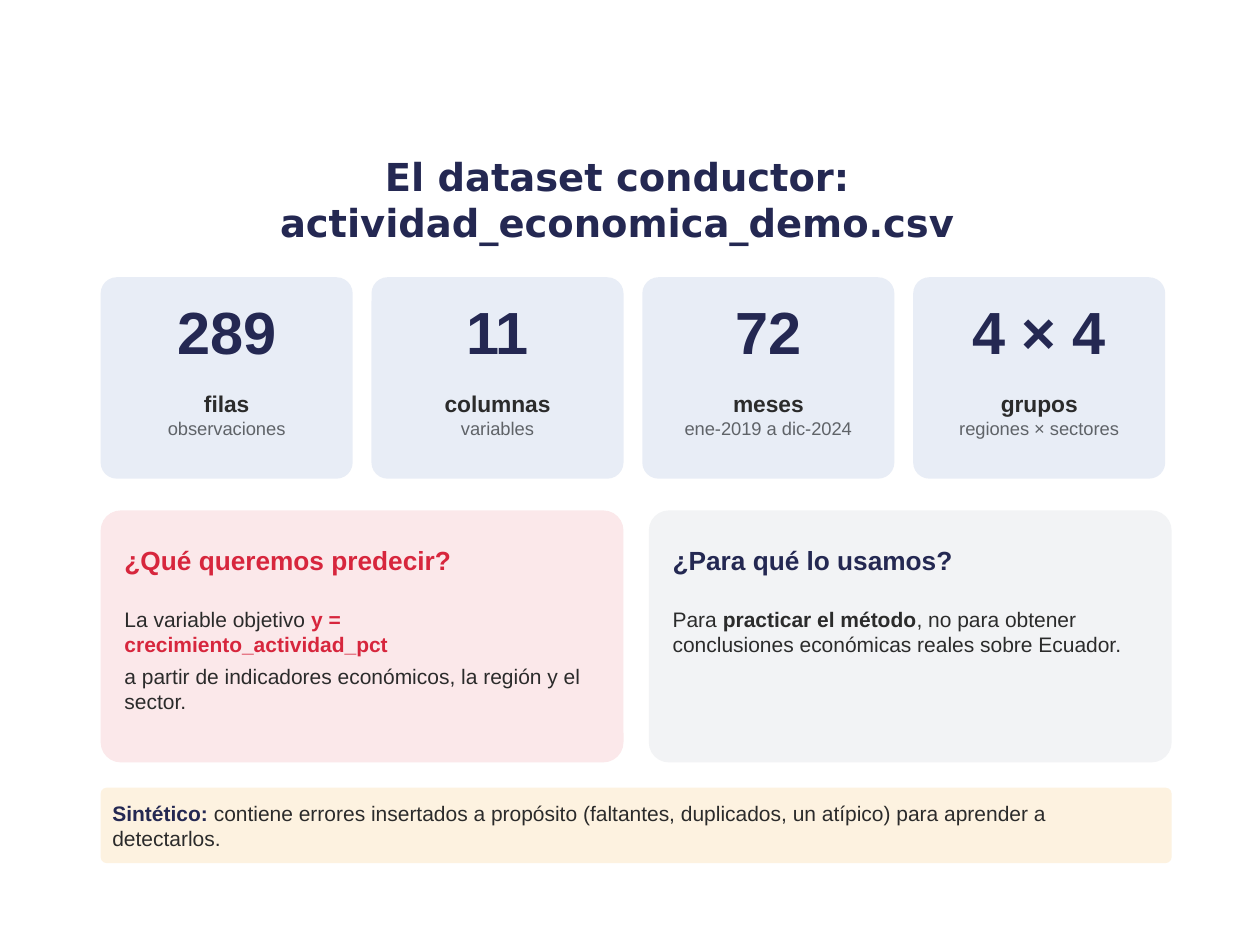
"""Build the slide that presents the demo dataset."""
import pptx
import pptx.dml.color
import pptx.enum.shapes
import pptx.enum.text
import pptx.util

Cm = pptx.util.Cm
Pt = pptx.util.Pt
RGBColor = pptx.dml.color.RGBColor
ALIGN = pptx.enum.text.PP_ALIGN
ANCHOR = pptx.enum.text.MSO_ANCHOR
AUTO_SIZE = pptx.enum.text.MSO_AUTO_SIZE

NAVY = RGBColor(0x24, 0x28, 0x52)
RED = RGBColor(0xD7, 0x26, 0x3D)
INK = RGBColor(0x2B, 0x2B, 0x2B)
GREY = RGBColor(0x5F, 0x63, 0x68)
PALE_BLUE = RGBColor(0xE8, 0xED, 0xF6)
PALE_RED = RGBColor(0xFB, 0xE8, 0xEA)
PALE_GREY = RGBColor(0xF2, 0xF3, 0xF5)
PALE_YELLOW = RGBColor(0xFD, 0xF2, 0xE0)

LEFT = 2.03
STAT_STEP = 5.46
PANEL_STEP = 11.05

STATS = [
    ("289", "filas", "observaciones"),
    ("11", "columnas", "variables"),
    ("72", "meses", "ene-2019 a dic-2024"),
    ("4 × 4", "grupos", "regiones × sectores"),
]
PANELS = [
    ("¿Qué queremos predecir?", RED, PALE_RED, [
        [("La variable objetivo ", INK, False),
         ("y = crecimiento_actividad_pct", RED, True)],
        [("a partir de indicadores económicos, la región y el sector.", INK, False)],
    ]),
    ("¿Para qué lo usamos?", NAVY, PALE_GREY, [
        [("Para ", INK, False), ("practicar el método", INK, True),
         (", no para obtener conclusiones económicas reales sobre Ecuador.", INK, False)],
    ]),
]
NOTE = [
    ("Sintético: ", NAVY, True),
    ("contiene errores insertados a propósito (faltantes, duplicados, un atípico) "
     "para aprender a detectarlos.", INK, False),
]


def set_frame(frame, margin, anchor):
    """Wrap the text frame and set its margins and anchor."""
    frame.word_wrap = True
    frame.vertical_anchor = anchor
    frame.margin_left = frame.margin_right = Cm(margin)
    frame.margin_top = frame.margin_bottom = Cm(margin)


def format_span(span, size, color, bold, font="Arial"):
    """Set the font of one run."""
    span.font.name = font
    span.font.size = Pt(size)
    span.font.bold = bold
    span.font.color.rgb = color


def write_para(para, spans, size, align=ALIGN.LEFT, space_after=0):
    """Fill a paragraph with (text, colour, bold) spans."""
    para.alignment = align
    para.space_after = Pt(space_after)
    for text, color, bold in spans:
        span = para.add_run()
        span.text = text
        format_span(span, size, color, bold)


def add_card(page, left, top, width, height, fill):
    """Add a borderless rounded rectangle and return it."""
    card = page.shapes.add_shape(
        pptx.enum.shapes.MSO_SHAPE.ROUNDED_RECTANGLE,
        Cm(left), Cm(top), Cm(width), Cm(height))
    card.adjustments[0] = 0.08
    card.shadow.inherit = False
    card.fill.solid()
    card.fill.fore_color.rgb = fill
    card.line.fill.background()
    return card


def add_text(page, left, top, width, height, anchor=ANCHOR.TOP):
    """Add an empty text box and return its frame."""
    box = page.shapes.add_textbox(Cm(left), Cm(top), Cm(width), Cm(height))
    set_frame(box.text_frame, 0.1, anchor)
    box.text_frame.auto_size = AUTO_SIZE.SHAPE_TO_FIT_TEXT
    return box.text_frame


def add_title(page, text):
    """Place and format the title placeholder."""
    title = page.shapes.title
    title.left, title.top = Cm(1.9), Cm(3)
    title.width, title.height = Cm(21.08), Cm(2.03)
    frame = title.text_frame
    frame.text = text
    frame.word_wrap = True
    frame.auto_size = AUTO_SIZE.NONE
    frame.vertical_anchor = ANCHOR.MIDDLE
    para = frame.paragraphs[0]
    para.alignment = ALIGN.CENTER
    format_span(para.runs[0], 22, NAVY, True, "DejaVu Sans")


def add_stat(page, left, number, label, detail):
    """Add a card with a large number, a label and a detail."""
    add_card(page, left, 5.59, 5.08, 4.06, PALE_BLUE)
    frame = add_text(page, left, 5.84, 5.08, 1.9)
    write_para(frame.paragraphs[0], [(number, NAVY, True)], 34, ALIGN.CENTER, 4)
    frame = add_text(page, left, 7.75, 5.08, 1.78)
    write_para(frame.paragraphs[0], [(label, INK, True)], 13, ALIGN.CENTER)
    write_para(frame.add_paragraph(), [(detail, GREY, False)], 10.5, ALIGN.CENTER)


def add_panel(page, left, heading, color, fill, paragraphs):
    """Add a panel with a heading and body paragraphs."""
    add_card(page, left, 10.29, 10.54, 5.08, fill)
    frame = add_text(page, left + 0.38, 10.59, 9.91, 1.4, ANCHOR.MIDDLE)
    write_para(frame.paragraphs[0], [(heading, color, True)], 15, space_after=4)
    frame = add_text(page, left + 0.38, 12.12, 9.78, 3.05)
    for index, spans in enumerate(paragraphs):
        para = frame.add_paragraph() if index else frame.paragraphs[0]
        write_para(para, spans, 12, space_after=4)


def add_note(page, spans):
    """Add the note strip at the bottom."""
    strip = add_card(page, LEFT, 15.88, 21.59, 1.52, PALE_YELLOW)
    set_frame(strip.text_frame, 0.2, ANCHOR.MIDDLE)
    write_para(strip.text_frame.paragraphs[0], spans, 12, space_after=3)


def main():
    """Build and save the deck."""
    deck = pptx.Presentation()
    deck.slide_width, deck.slide_height = Cm(25.4), Cm(19.05)
    page = deck.slides.add_slide(deck.slide_layouts[5])
    add_title(page, "El dataset conductor: actividad_economica_demo.csv")
    for index, stat in enumerate(STATS):
        add_stat(page, LEFT + index * STAT_STEP, *stat)
    for index, panel in enumerate(PANELS):
        add_panel(page, LEFT + index * PANEL_STEP, *panel)
    add_note(page, NOTE)
    deck.save("out.pptx")


if __name__ == "__main__":
    main()
